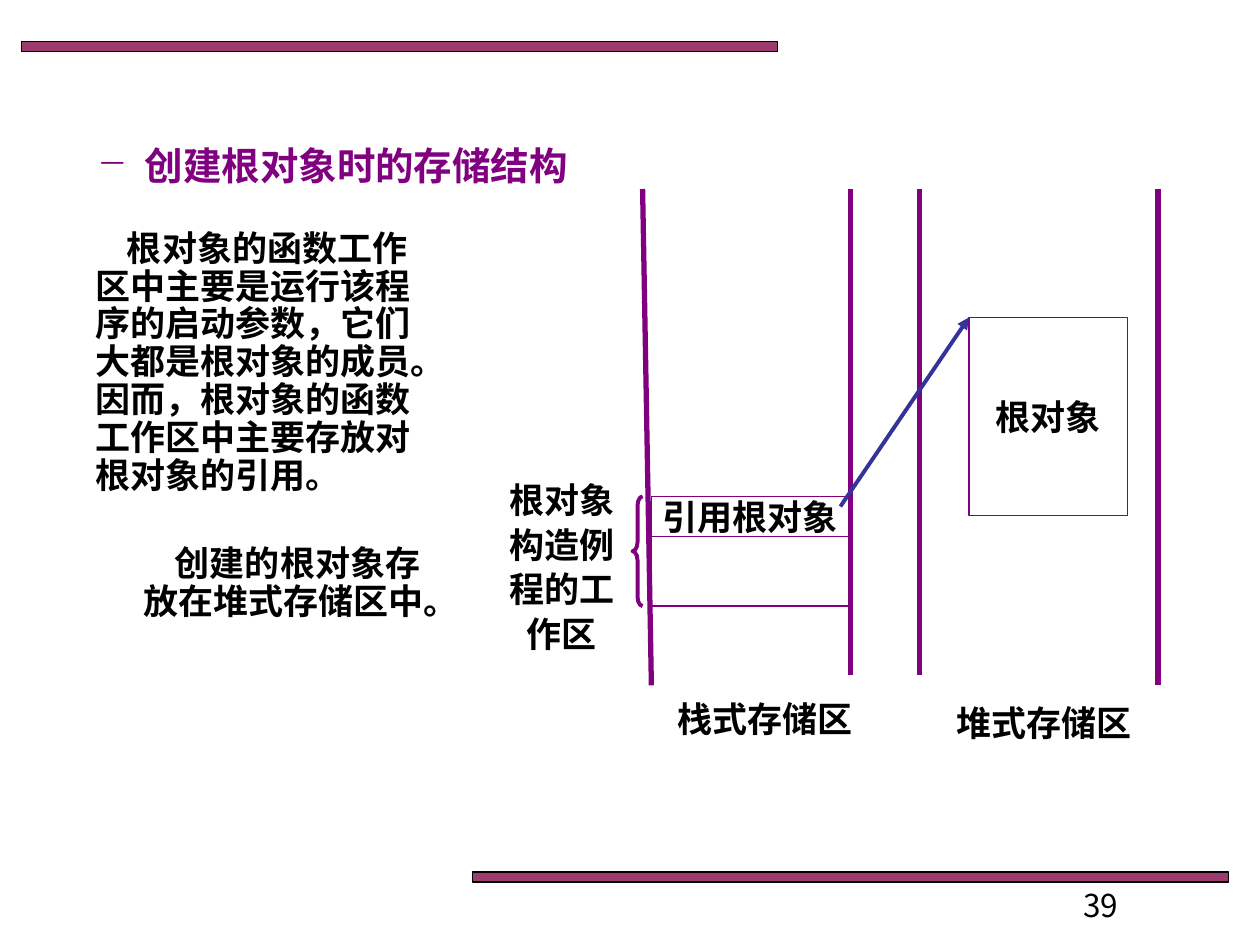
from dataclasses import dataclass

from lxml.etree import SubElement
from pptx import Presentation
from pptx.dml.color import RGBColor
from pptx.enum.dml import MSO_LINE
from pptx.enum.shapes import MSO_CONNECTOR, MSO_SHAPE
from pptx.enum.text import MSO_ANCHOR, PP_ALIGN
from pptx.oxml.ns import qn
from pptx.util import Inches, Pt


@dataclass(frozen=True)
class Theme:
    font: str = "Noto Sans CJK SC"
    black: RGBColor = RGBColor(0, 0, 0)
    purple: RGBColor = RGBColor(0x80, 0, 0x80)
    blue: RGBColor = RGBColor(0x33, 0x33, 0x99)
    bar: RGBColor = RGBColor(0x99, 0x33, 0x66)
    heading: int = 22
    body: int = 20
    number: int = 18
    thin: float = 0.75
    medium: float = 2.25
    thick: float = 3
    line_pitch: float = 21.6
    space: float = 4


@dataclass(frozen=True)
class Box:
    left: float
    top: float
    width: float
    height: float

    def lengths(self):
        return tuple(Inches(n) for n in (self.left, self.top, self.width, self.height))


@dataclass(frozen=True)
class Line:
    start: tuple[float, float]
    end: tuple[float, float]
    color: RGBColor
    width: float
    arrow: bool = False


@dataclass(frozen=True)
class Label:
    box: Box
    lines: tuple[str, ...]


@dataclass(frozen=True)
class Frame:
    box: Box
    text: str = ""
    preset: MSO_SHAPE = MSO_SHAPE.RECTANGLE
    width: float = 0.75


THEME = Theme()
BARS = (Box(0.17, 0.33, 6, 0.08), Box(3.75, 6.92, 6, 0.08))
LINES = (
    Line((5.1, 1.5), (5.17, 5.44), THEME.purple, THEME.thick),
    Line((6.75, 1.5), (6.75, 5.36), THEME.purple, THEME.thick),
    Line((7.3, 1.5), (7.3, 5.36), THEME.purple, THEME.thick),
    Line((9.19, 1.5), (9.19, 5.44), THEME.purple, THEME.thick),
    Line((6.67, 4.02), (7.69, 2.52), THEME.blue, THEME.medium, True),
)
LABELS = (
    Label(Box(7.46, 5.55, 1.65, 0.44), ("堆式存储区",)),
    Label(Box(5.17, 5.52, 1.81, 0.44), ("栈式存储区",)),
    Label(Box(3.83, 3.78, 1.26, 1.42), ("根对象", "构造例", "程的工", "作区")),
)
FRAMES = (
    Frame(Box(5.17, 3.94, 1.57, 0.32), "引用根对象"),
    Frame(Box(5.17, 4.26, 1.58, 0.55)),
    Frame(Box(7.69, 2.52, 1.26, 1.57), "根对象"),
    Frame(Box(5.02, 3.94, 0.08, 0.87), preset=MSO_SHAPE.LEFT_BRACE, width=THEME.medium),
)
BODY = (
    "根对象的函数工作区中主要是运行该程序的启动参数，它们大都是根对象的成员。"
    "因而，根对象的函数工作区中主要存放对根对象的引用。",
    "创建的根对象存放在堆式存储区中。",
)


def style(paragraph, size: int, color: RGBColor = THEME.black, bold: bool = True) -> None:
    font = paragraph.font
    font.name, font.size, font.bold = THEME.font, Pt(size), bold
    font.color.rgb = color
    for run in paragraph.runs:
        SubElement(run._r.get_or_add_rPr(), qn("a:ea")).set("typeface", THEME.font)


def indent(paragraph, margin: float, first: float) -> None:
    properties = paragraph._p.get_or_add_pPr()
    properties.set("marL", str(Inches(margin)))
    properties.set("indent", str(Inches(first)))


def add_text(slide, box: Box, lines: tuple[str, ...]):
    frame = slide.shapes.add_textbox(*box.lengths()).text_frame
    frame.word_wrap = True
    frame.text = "\n".join(lines)
    for paragraph in frame.paragraphs:
        style(paragraph, THEME.body)
        paragraph.line_spacing = Pt(THEME.line_pitch)
        paragraph.space_before = Pt(THEME.space)
    return frame


def add_heading(slide) -> None:
    title = slide.shapes.title
    title.left, title.top, title.width, title.height = Box(0.67, 1.08, 7.01, 0.47).lengths()
    frame = title.text_frame
    frame.text = "创建根对象时的存储结构"
    frame.word_wrap = True
    frame.vertical_anchor = MSO_ANCHOR.TOP
    paragraph = frame.paragraphs[0]
    paragraph.alignment = PP_ALIGN.LEFT
    indent(paragraph, 0.38, -0.38)
    SubElement(paragraph._p.get_or_add_pPr(), qn("a:buChar")).set("char", "−")
    style(paragraph, THEME.heading, THEME.purple)


def add_bar(slide, box: Box) -> None:
    shape = slide.shapes.add_shape(MSO_SHAPE.RECTANGLE, *box.lengths())
    shape.shadow.inherit = False
    shape.fill.solid()
    shape.fill.fore_color.rgb = THEME.bar
    color = shape._element.spPr.find(qn("a:solidFill"))[0]
    SubElement(color, qn("a:alpha")).set("val", "96000")
    shape.line.color.rgb = THEME.black
    shape.line.width = Pt(THEME.thin)


def add_frame(slide, item: Frame) -> None:
    shape = slide.shapes.add_shape(item.preset, *item.box.lengths())
    shape.shadow.inherit = False
    shape.fill.background()
    shape.line.color.rgb = THEME.purple
    shape.line.width = Pt(item.width)
    if item.preset == MSO_SHAPE.LEFT_BRACE:
        shape.adjustments[0] = 0.9
    if item.text:
        frame = shape.text_frame
        frame.text = item.text
        frame.word_wrap = False
        frame.vertical_anchor = MSO_ANCHOR.MIDDLE
        frame.paragraphs[0].alignment = PP_ALIGN.CENTER
        style(frame.paragraphs[0], THEME.body)


def add_line(slide, item: Line) -> None:
    points = (Inches(n) for n in (*item.start, *item.end))
    connector = slide.shapes.add_connector(MSO_CONNECTOR.STRAIGHT, *points)
    connector.line.color.rgb = item.color
    connector.line.width = Pt(item.width)
    connector.line.dash_style = MSO_LINE.SOLID
    if item.arrow:
        SubElement(connector.line._get_or_add_ln(), qn("a:tailEnd")).set("type", "triangle")
    SubElement(connector._element.spPr, qn("a:effectLst"))


presentation = Presentation()
presentation.slide_width, presentation.slide_height = Inches(10), Inches(7.5)
slide = presentation.slides.add_slide(presentation.slide_layouts[5])
add_heading(slide)
for bar in BARS:
    add_bar(slide, bar)
for frame_item in FRAMES:
    add_frame(slide, frame_item)
for line_item in LINES:
    add_line(slide, line_item)
for label in LABELS:
    for paragraph in add_text(slide, label.box, label.lines).paragraphs:
        paragraph.alignment = PP_ALIGN.CENTER

body = add_text(slide, Box(0.66, 1.78, 2.84, 4.02), BODY)
for paragraph, margin in zip(body.paragraphs, (0, 0.38)):
    indent(paragraph, margin, 0.25)
body.paragraphs[1].space_before = Pt(29)

number = add_text(slide, Box(8.5, 6.98, 1.58, 0.18), ("39",)).paragraphs[0]
number.line_spacing, number.space_before = 1.0, Pt(0)
style(number, THEME.number, bold=False)
presentation.save("out.pptx")
